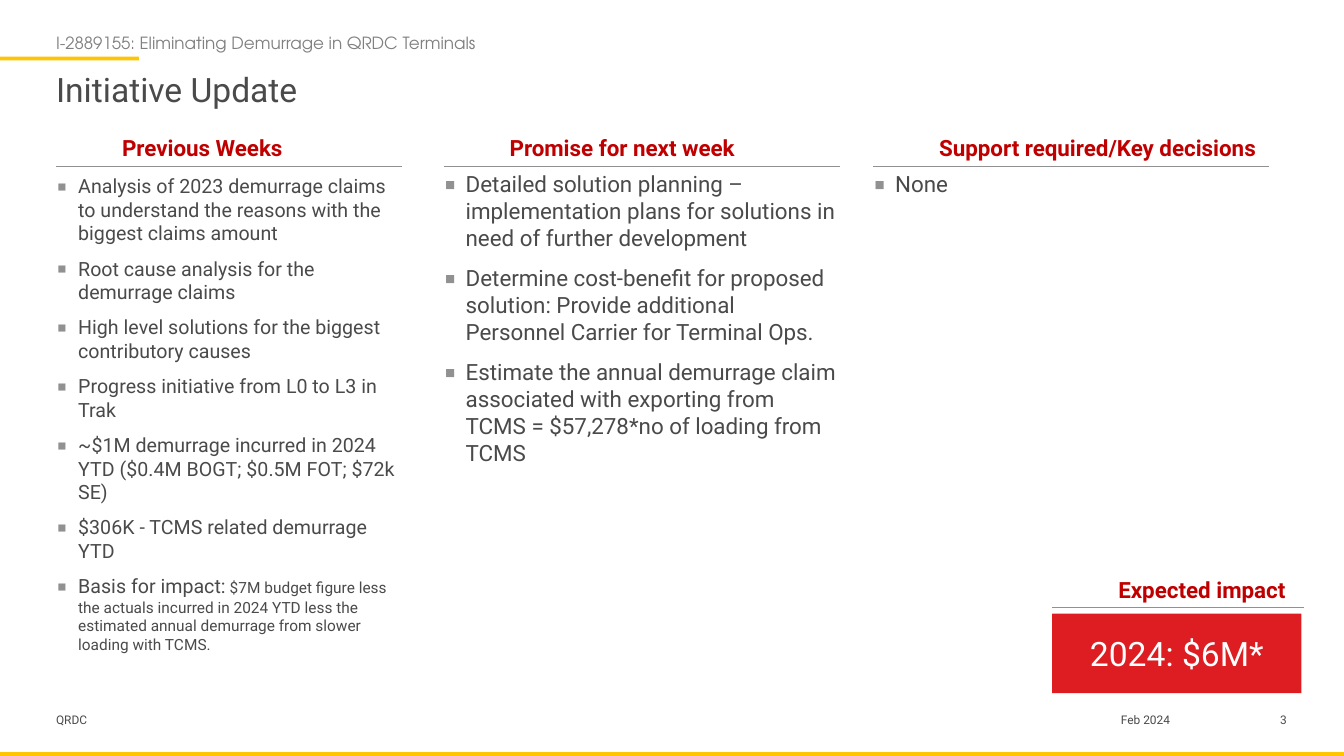
from dataclasses import dataclass

from lxml.etree import SubElement
from pptx import Presentation
from pptx.dml.color import RGBColor
from pptx.enum.shapes import MSO_CONNECTOR as Connector, MSO_SHAPE as Preset
from pptx.enum.text import MSO_ANCHOR as Anchor, MSO_AUTO_SIZE as AutoSize, PP_ALIGN as Align
from pptx.oxml.ns import qn
from pptx.util import Inches, Pt

YELLOW = RGBColor(0xFF, 0xC6, 0x00)
RED = RGBColor(0xDD, 0x1D, 0x21)
DARK_RED = RGBColor(0xC0, 0x00, 0x00)
TEXT_GREY = RGBColor(0x4A, 0x4A, 0x4A)
KICKER_GREY = RGBColor(0x80, 0x80, 0x80)
RULE_GREY = RGBColor(0x91, 0x91, 0x91)
WHITE = RGBColor(0xFF, 0xFF, 0xFF)

BODY_FONT = "Roboto"
KICKER_FONT = "TeX Gyre Adventor"

# The slide is a grid of 240 columns and 135 rows
WIDTH, HEIGHT = Inches(13.33), Inches(7.5)
COLUMNS, ROWS = 240, 135
MARGIN = 10
HEADING_INDENT, HEADING_RISE = 11.8, 5.7
COLUMN_RULE_ROW = 29.7
FOOTER_ROW, FOOTER_ROWS = 127.3, 4.7
BAR_ROWS = 0.7


@dataclass(frozen=True)
class Area:
    column: float
    row: float
    columns: float
    rows: float

    def box(self) -> tuple[int, int, int, int]:
        return (across(self.column), down(self.row), across(self.columns), down(self.rows))


@dataclass(frozen=True)
class Style:
    size: float
    color: RGBColor = TEXT_GREY
    font: str = BODY_FONT
    bold: bool = False
    align: Align = Align.LEFT


@dataclass(frozen=True)
class Label:
    text: str
    area: Area
    style: Style


@dataclass(frozen=True)
class Heading:
    text: str
    column: float
    row: float
    text_columns: float
    rule_columns: float


@dataclass(frozen=True)
class BulletList:
    placeholder: int
    area: Area
    size: int
    items: tuple[str, ...]
    small_print: str = ""


FOOTER = Style(8.5)
HEADING = Style(16, DARK_RED, bold=True)

BARS = (
    Area(0, 10.1, 24.8, BAR_ROWS),
    Area(0, ROWS - BAR_ROWS, COLUMNS, BAR_ROWS),
)

LABELS = (
    Label("I-2889155: Eliminating Demurrage in QRDC Terminals",
          Area(MARGIN, 5.8, 90, 3.6), Style(12, KICKER_GREY, KICKER_FONT)),
    Label("QRDC", Area(MARGIN, FOOTER_ROW, 66, FOOTER_ROWS), FOOTER),
    Label("Feb 2024", Area(190.4, FOOTER_ROW, 28.3, FOOTER_ROWS), Style(8.5, align=Align.CENTER)),
    Label("3", Area(222.8, FOOTER_ROW, 7, FOOTER_ROWS), Style(8.5, align=Align.RIGHT)),
)

HEADINGS = (
    Heading("Previous Weeks", MARGIN, COLUMN_RULE_ROW, 38.3, 61.8),
    Heading("Promise for next week", 79.2, COLUMN_RULE_ROW, 44.1, 70.8),
    Heading("Support required/Key decisions", 155.9, COLUMN_RULE_ROW, 61.7, 70.8),
    Heading("Expected impact", 187.9, 108.5, 32.6, 45),
)

LISTS = (
    BulletList(1, Area(MARGIN, 31.1, 62, 88.9), 14, (
        "Analysis of 2023 demurrage claims to understand the reasons with the biggest claims amount",
        "Root cause analysis for the demurrage claims",
        "High level solutions for the biggest contributory causes",
        "Progress initiative from L0 to L3 in Trak",
        "~$1M demurrage incurred in 2024 YTD ($0.4M BOGT; $0.5M FOT; $72k SE)",
        "$306K - TCMS related demurrage YTD",
        "Basis for impact:",
    ), " $7M budget figure less the actuals incurred in 2024 YTD less the estimated annual "
       "demurrage from slower loading with TCMS."),
    BulletList(2, Area(79.2, 30.4, 70.8, 54.4), 16, (
        "Detailed solution planning – implementation plans for solutions in need of further development",
        "Determine cost-benefit for proposed solution: Provide additional Personnel Carrier for Terminal Ops.",
        "Estimate the annual demurrage claim associated with exporting from TCMS = $57,278*no of loading from TCMS",
    )),
    BulletList(4, Area(155.9, 30.4, 70.8, 4.9), 16, ("None",)),
)


def across(columns: float) -> int:
    return round(WIDTH * columns / COLUMNS)


def down(rows: float) -> int:
    return round(HEIGHT * rows / ROWS)


def format_run(run, style: Style) -> None:
    run.font.size = Pt(style.size)
    run.font.name = style.font
    run.font.bold = style.bold
    run.font.color.rgb = style.color


def prepare_frame(shape, anchor: Anchor = Anchor.TOP):
    frame = shape.text_frame
    frame.word_wrap = True
    frame.auto_size = AutoSize.NONE
    frame.vertical_anchor = anchor
    frame.margin_left = frame.margin_right = frame.margin_top = frame.margin_bottom = 0
    return frame


def write(shape, text: str, style: Style, anchor: Anchor = Anchor.TOP) -> None:
    frame = prepare_frame(shape, anchor)
    frame.text = text
    paragraph = frame.paragraphs[0]
    paragraph.alignment = style.align
    format_run(paragraph.runs[0], style)


def place(shape, area: Area) -> None:
    shape.left, shape.top, shape.width, shape.height = area.box()


def add_label(slide, label: Label) -> None:
    write(slide.shapes.add_textbox(*label.area.box()), label.text, label.style)


def add_block(slide, area: Area, color: RGBColor):
    block = slide.shapes.add_shape(Preset.RECTANGLE, *area.box())
    block.shadow.inherit = False
    block.fill.solid()
    block.fill.fore_color.rgb = color
    block.line.fill.background()
    return block


def add_heading(slide, heading: Heading) -> None:
    area = Area(heading.column + HEADING_INDENT, heading.row - HEADING_RISE, heading.text_columns, 4.9)
    add_label(slide, Label(heading.text, area, HEADING))
    start, level = across(heading.column), down(heading.row)
    end = across(heading.column + heading.rule_columns)
    rule = slide.shapes.add_connector(Connector.STRAIGHT, start, level, end, level)
    rule.line.color.rgb = RULE_GREY
    rule.line.width = Pt(0.75)
    SubElement(rule._element.spPr, qn("a:effectLst"))


def add_bullet(paragraph) -> None:
    properties = paragraph._p.get_or_add_pPr()
    properties.set("marL", str(Inches(0.22)))
    properties.set("indent", str(Inches(-0.21)))
    color = SubElement(properties, qn("a:buClr"))
    SubElement(color, qn("a:srgbClr"), val=str(RULE_GREY))
    SubElement(properties, qn("a:buSzPct"), val="125000")
    SubElement(properties, qn("a:buFont"), typeface=BODY_FONT)
    SubElement(properties, qn("a:buChar"), char="▪")


def fill_list(slide, bullets: BulletList) -> None:
    shape = slide.placeholders[bullets.placeholder]
    place(shape, bullets.area)
    frame = prepare_frame(shape)
    for index, item in enumerate(bullets.items):
        paragraph = frame.add_paragraph() if index else frame.paragraphs[0]
        paragraph.text = item
        paragraph.level = 1
        add_bullet(paragraph)
        paragraph.space_before = Pt(0.6 * bullets.size if index else 0)
        format_run(paragraph.runs[0], Style(bullets.size))
    if bullets.small_print:
        run = paragraph.add_run()
        run.text = bullets.small_print
        format_run(run, Style(11))


def main() -> None:
    presentation = Presentation()
    presentation.slide_width, presentation.slide_height = WIDTH, HEIGHT
    slide = presentation.slides.add_slide(presentation.slide_layouts.get_by_name("Comparison"))

    # Accent bars, title and small labels
    for bar in BARS:
        add_block(slide, bar, YELLOW)
    title = slide.shapes.title
    place(title, Area(MARGIN, 11.7, 220, 8.5))
    write(title, "Initiative Update", Style(24), Anchor.MIDDLE)
    for label in LABELS:
        add_label(slide, label)

    # Headed columns
    for heading in HEADINGS:
        add_heading(slide, heading)
    for bullets in LISTS:
        fill_list(slide, bullets)
    unused = slide.placeholders[3]._element
    unused.getparent().remove(unused)

    # Impact figure
    impact = add_block(slide, Area(187.9, 109.6, 44.5, 14.2), RED)
    write(impact, "2024: $6M*", Style(24, WHITE, align=Align.CENTER), Anchor.MIDDLE)

    presentation.save("out.pptx")


if __name__ == "__main__":
    main()
